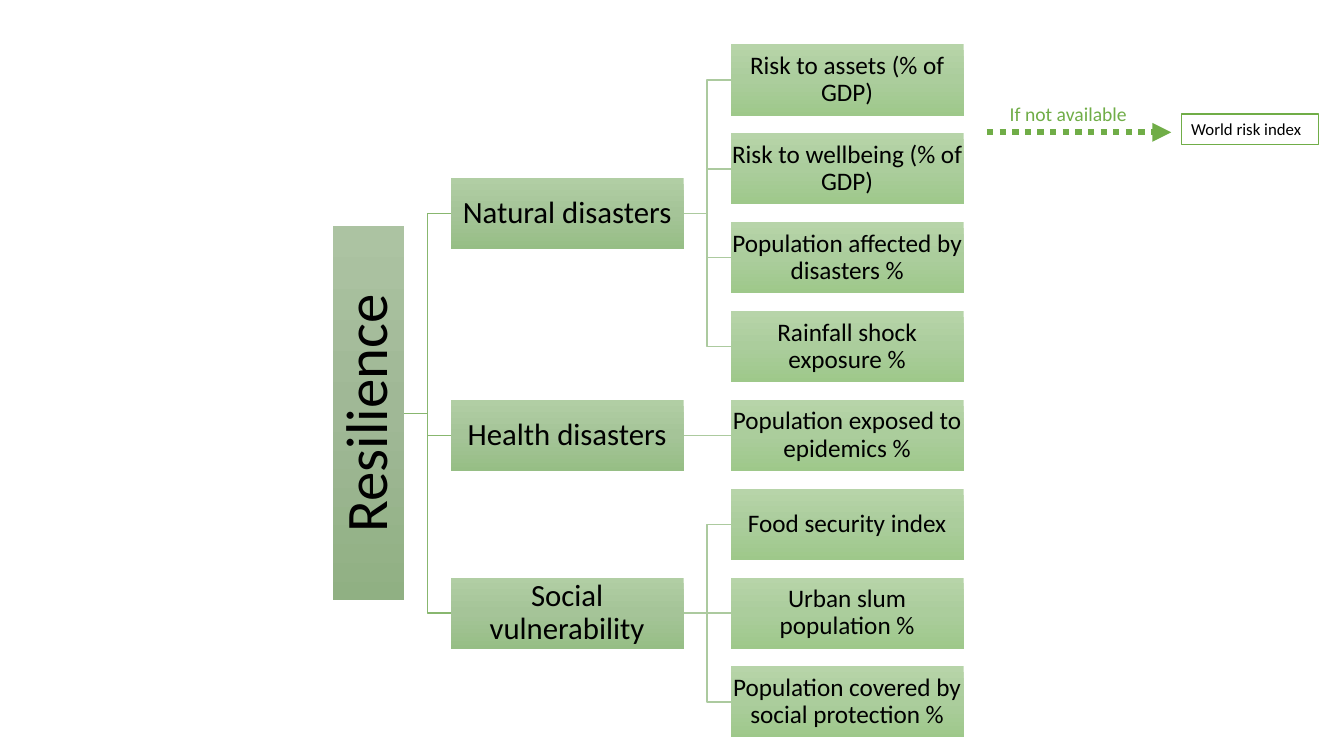
from copy import deepcopy
from dataclasses import dataclass

from pptx import Presentation
from pptx.dml.color import RGBColor
from pptx.enum.dml import MSO_LINE
from pptx.enum.shapes import MSO_CONNECTOR, MSO_SHAPE
from pptx.enum.text import MSO_ANCHOR, MSO_AUTO_SIZE, PP_ALIGN
from pptx.oxml.ns import qn
from pptx.oxml.xmlchemy import OxmlElement
from pptx.util import Pt

COLORS = {
    "text": "000000",
    "white": "FFFFFF",
    "accent": "70AD47",
    "root_link": "88B76F",
    "branch_link": "ACCA9F",
}


@dataclass(frozen=True)
class Level:
    """Look of one tree level; lengths in points."""

    center_x: float
    width: float
    font_size: float
    inset: float
    gradient: tuple[str, str, str]
    rotation: int = 0


@dataclass(frozen=True)
class Branch:
    """A branch of the tree with its indicators."""

    label: str
    indicators: tuple[str, ...]


ROOT = Level(263.2, 267.1, 42, 2.1, ("ACC3A2", "A0B896", "90B083"), 270)
BRANCH = Level(405.1, 166.5, 22, 1.1, ("B1CEA4", "A5C498", "96BE85"))
INDICATOR = Level(605.1, 166.5, 18, 0.9, ("B7D4A9", "ABCD9C", "9EC88A"))

BRANCHES = (
    Branch("Natural disasters", (
        "Risk to assets (% of GDP)",
        "Risk to wellbeing (% of GDP)",
        "Population affected by disasters %",
        "Rainfall shock exposure %",
    )),
    Branch("Health disasters", ("Population exposed to epidemics %",)),
    Branch("Social vulnerability", (
        "Food security index",
        "Urban slum population %",
        "Population covered by social protection %",
    )),
)

BOX_HEIGHT = 50.8
FIRST_ROW_Y = 57.2
ROW_PITCH = 63.46


def rgb(name: str) -> RGBColor:
    """Return a palette colour."""
    return RGBColor.from_string(COLORS[name])


def write_text(shape, text: str, *, size: float, color: str = "text",
               align=PP_ALIGN.LEFT, anchor=MSO_ANCHOR.TOP,
               spacing: float = 1.0, inset: float | None = None,
               grow: bool = False) -> None:
    """Put formatted text in a shape."""
    frame = shape.text_frame
    frame.word_wrap = True
    frame.vertical_anchor = anchor
    if grow:
        frame.auto_size = MSO_AUTO_SIZE.SHAPE_TO_FIT_TEXT
    if inset is not None:
        frame.margin_left = frame.margin_right = Pt(inset)
        frame.margin_top = frame.margin_bottom = Pt(inset)
    paragraph = frame.paragraphs[0]
    paragraph.alignment = align
    paragraph.line_spacing = spacing
    run = paragraph.add_run()
    run.text = text
    run.font.name = "Calibri"
    run.font.size = Pt(size)
    run.font.color.rgb = rgb(color)


def fill_gradient(shape, stops: tuple[str, str, str]) -> None:
    """Fill a shape from top to bottom with evenly spaced stops."""
    shape.fill.gradient()
    shape.fill.gradient_angle = 270
    gradient = shape.element.spPr.find(qn("a:gradFill"))
    gradient.set("rotWithShape", "0")
    stop_list = gradient.find(qn("a:gsLst"))
    stop_list.insert(1, deepcopy(stop_list[0]))
    for index, (stop, color) in enumerate(zip(shape.fill.gradient_stops, stops)):
        stop.position = index / 2
        stop.color.rgb = RGBColor.from_string(color)


def add_node(shapes, level: Level, center_y: float, label: str) -> None:
    """Draw one box of the tree around its centre."""
    node = shapes.add_shape(
        MSO_SHAPE.RECTANGLE,
        Pt(level.center_x - level.width / 2), Pt(center_y - BOX_HEIGHT / 2),
        Pt(level.width), Pt(BOX_HEIGHT))
    node.rotation = level.rotation
    node.shadow.inherit = False
    node.line.fill.background()
    fill_gradient(node, level.gradient)
    write_text(node, label, size=level.font_size, align=PP_ALIGN.CENTER,
               anchor=MSO_ANCHOR.MIDDLE, spacing=0.9, inset=level.inset)


def add_straight(shapes, start: tuple[float, float], end: tuple[float, float],
                 color: str, width: float):
    """Draw a straight line and return it."""
    line = shapes.add_connector(MSO_CONNECTOR.STRAIGHT,
                                *(Pt(value) for value in start + end))
    line.line.color.rgb = rgb(color)
    line.line.width = Pt(width)
    line.element.spPr.append(OxmlElement("a:effectLst"))
    return line


def add_link(shapes, parent: Level, parent_y: float,
             child: Level, child_y: float, color: str) -> None:
    """Join a parent box to a child box, with an elbow if rows differ."""
    parent_span = BOX_HEIGHT if parent.rotation else parent.width
    start_x = parent.center_x + parent_span / 2
    end_x = child.center_x - child.width / 2
    if abs(parent_y - child_y) < 0.1:
        add_straight(shapes, (start_x, parent_y), (end_x, child_y), color, 1)
        return
    bend_x = (start_x + end_x) / 2
    builder = shapes.build_freeform(Pt(start_x), Pt(parent_y))
    builder.add_line_segments(
        [(Pt(bend_x), Pt(parent_y)), (Pt(bend_x), Pt(child_y)),
         (Pt(end_x), Pt(child_y))], close=False)
    elbow = builder.convert_to_shape()
    elbow.shadow.inherit = False
    elbow.fill.background()
    elbow.line.color.rgb = rgb(color)
    elbow.line.width = Pt(1)


def add_tree(shapes) -> None:
    """Draw all links, then all boxes over them."""
    nodes, branch_ys, row = [], [], 0
    for branch in BRANCHES:
        rows = range(row, row + len(branch.indicators))
        indicator_ys = [FIRST_ROW_Y + ROW_PITCH * r for r in rows]
        branch_y = sum(indicator_ys) / len(indicator_ys)
        row += len(indicator_ys)
        branch_ys.append(branch_y)
        nodes.append((BRANCH, branch_y, branch.label))
        for y, indicator in zip(indicator_ys, branch.indicators):
            nodes.append((INDICATOR, y, indicator))
            add_link(shapes, BRANCH, branch_y, INDICATOR, y, "branch_link")
    root_y = (branch_ys[0] + branch_ys[-1]) / 2
    for branch_y in branch_ys:
        add_link(shapes, ROOT, root_y, BRANCH, branch_y, "root_link")
    for level, y, label in [(ROOT, root_y, "Resilience"), *nodes]:
        add_node(shapes, level, y, label)


def add_fallback(shapes) -> None:
    """Draw the substitute index with its dotted arrow and caption."""
    index_box = shapes.add_shape(MSO_SHAPE.RECTANGLE, Pt(843.8), Pt(81.4),
                                 Pt(98), Pt(21.8))
    index_box.shadow.inherit = False
    index_box.fill.solid()
    index_box.fill.fore_color.rgb = rgb("white")
    index_box.line.color.rgb = rgb("accent")
    index_box.line.width = Pt(1)
    write_text(index_box, "World risk index", size=12, grow=True)

    arrow = add_straight(shapes, (705, 94.5), (836.6, 94.5), "accent", 4.5)
    arrow.line.dash_style = MSO_LINE.ROUND_DOT
    head = OxmlElement("a:tailEnd")
    head.set("type", "triangle")
    arrow.line._get_or_add_ln().append(head)

    caption = shapes.add_textbox(Pt(714.2), Pt(69.1), Pt(112.3), Pt(24.2))
    write_text(caption, "If not available", size=14, color="accent", grow=True)


def main() -> None:
    """Build and save the slide."""
    deck = Presentation()
    deck.slide_width, deck.slide_height = Pt(960), Pt(540)
    slide = deck.slides.add_slide(deck.slide_layouts[6])
    add_tree(slide.shapes)
    add_fallback(slide.shapes)
    deck.save("out.pptx")


main()
